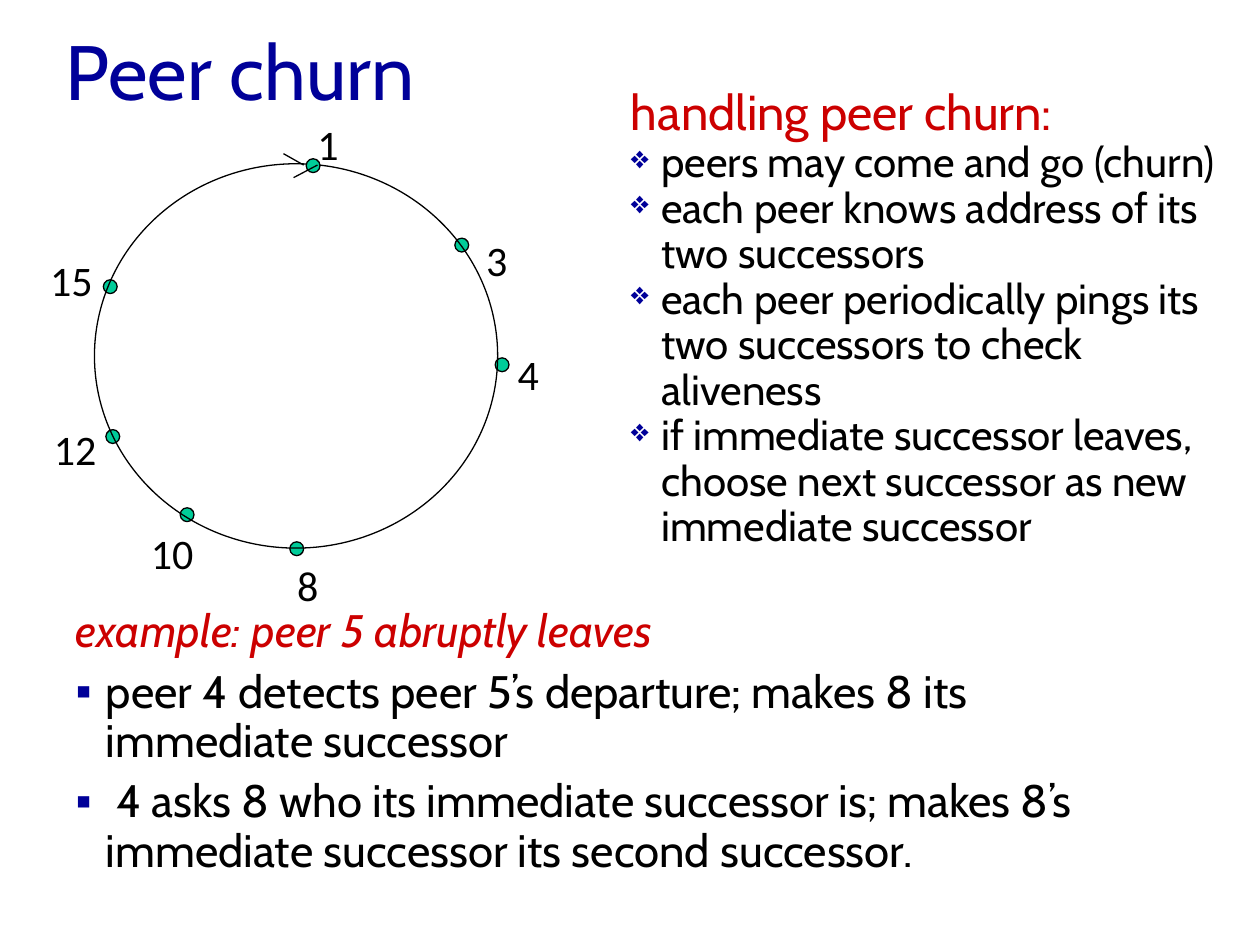
from lxml import etree
from pptx import Presentation
from pptx.dml.color import RGBColor
from pptx.enum.shapes import MSO_CONNECTOR, MSO_SHAPE
from pptx.enum.text import MSO_ANCHOR, MSO_AUTO_SIZE, PP_ALIGN
from pptx.oxml.ns import qn
from pptx.util import Inches, Pt

OVAL, STRAIGHT = MSO_SHAPE.OVAL, MSO_CONNECTOR.STRAIGHT
MIDDLE, TOP = MSO_ANCHOR.MIDDLE, MSO_ANCHOR.TOP
NO_FIT, LEFT = MSO_AUTO_SIZE.NONE, PP_ALIGN.LEFT

BLUE = RGBColor(0x00, 0x00, 0x99)
RED = RGBColor(0xCC, 0x00, 0x00)
GREEN = RGBColor(0x00, 0xCC, 0x99)
BLACK = RGBColor(0x00, 0x00, 0x00)

HEAD_FONT, LABEL_FONT = "Cabin", "Calibri"
HANG = Inches(0.24)
DOT = 0.11

# peer id, dot offset and label offset from the ring's top left corner
PEERS = [
    ("1", (1.68, -0.04), (1.67, -0.41)),
    ("3", (2.86, 0.59), (3.01, 0.51)),
    ("4", (3.18, 1.54), (3.26, 1.42)),
    ("8", (1.55, 3.0), (1.51, 3.09)),
    ("10", (0.68, 2.73), (0.35, 2.84)),
    ("12", (0.09, 2.11), (-0.42, 2.01)),
    ("15", (0.07, 0.92), (-0.45, 0.67)),
]
ARROWHEAD = [((1.5, -0.08), (1.66, 0.01)), ((1.77, 0.01), (1.58, 0.11))]

HANDLING = [
    "peers may come and go (churn)",
    "each peer knows address of its two successors",
    "each peer periodically pings its \vtwo successors to check aliveness",
    "if immediate successor leaves, choose next successor as new immediate successor",
]
EXAMPLE = [
    "peer 4 detects peer 5’s departure; makes 8 its immediate successor",
    " 4 asks 8 who its immediate successor is; makes 8’s immediate successor its second successor.",
]


def set_bullet(p, char, size):
    """Hang the paragraph behind a blue bullet, or clear the bullet if char is None."""
    pPr = p._p.get_or_add_pPr()
    pPr.set("marL", str(HANG if char else 0))
    pPr.set("indent", str(-HANG if char else 0))
    if char is None:
        etree.SubElement(pPr, qn("a:buNone"))
        return
    color = etree.SubElement(pPr, qn("a:buClr"))
    etree.SubElement(color, qn("a:srgbClr"), val=str(BLUE))
    etree.SubElement(pPr, qn("a:buSzPct"), val=str(size * 1000))
    etree.SubElement(pPr, qn("a:buChar"), char=char)


def write(tf, text, size, color=BLACK, font=HEAD_FONT, italic=False, bullet=None,
          bullet_size=100, line=None, before=0):
    """Fill the frame's empty first paragraph, or append a new one."""
    p = tf.paragraphs[0] if not tf.text else tf.add_paragraph()
    p.text = text
    set_bullet(p, bullet, bullet_size)
    p.alignment = LEFT
    p.space_before = Pt(before)
    if line:
        p.line_spacing = line
    for r in p.runs:
        r.font.size, r.font.name = Pt(size), font
        r.font.italic, r.font.color.rgb = italic, color


def place(shape, box, anchor=TOP, wrap=True):
    """Move a text shape to its box and return its frame."""
    shape.left, shape.top, shape.width, shape.height = map(Inches, box)
    tf = shape.text_frame
    tf.auto_size, tf.word_wrap, tf.vertical_anchor = NO_FIT, wrap, anchor
    return tf


def add_text_box(slide, box, wrap=True):
    return place(slide.shapes.add_textbox(0, 0, 0, 0), box, wrap=wrap)


def add_oval(slide, box, fill=None):
    s = slide.shapes.add_shape(OVAL, *map(Inches, box))
    s.shadow.inherit = False
    if fill is None:
        s.fill.background()
    else:
        s.fill.solid()
        s.fill.fore_color.rgb = fill
    s.line.color.rgb, s.line.width = BLACK, Pt(0.75)


def add_line(slide, start, end):
    line = slide.shapes.add_connector(STRAIGHT, *map(Inches, start + end))
    line.line.color.rgb, line.line.width = BLACK, Pt(0.75)
    etree.SubElement(line._element.spPr, qn("a:effectLst"))


def add_peer_ring(slide, box):
    left, top = box[:2]

    def shift(offset):
        return left + offset[0], top + offset[1]

    first, *others = [(*shift(dot), DOT, DOT) for _, dot, _ in PEERS]
    for dot in others:
        add_oval(slide, dot, GREEN)
    add_oval(slide, box)
    add_oval(slide, first, GREEN)
    for peer, _, label in PEERS:
        width = 0.2 + 0.17 * len(peer)
        tf = add_text_box(slide, (*shift(label), width, 0.5), wrap=False)
        write(tf, peer, 24, font=LABEL_FONT)
    for start, end in ARROWHEAD:
        add_line(slide, shift(start), shift(end))


def add_title(slide, box):
    tf = place(slide.shapes.title, box, anchor=MIDDLE)
    write(tf, "Peer churn", 44, BLUE)


def add_example(slide, box):
    tf = place(slide.placeholders[1], box)
    tf.margin_right = Inches(0.15)
    write(tf, "example: peer 5 abruptly leaves", 26, RED, italic=True, line=0.9)
    for text in EXAMPLE:
        write(tf, text, 26, bullet="▪", line=0.9, before=6.5)


def add_handling(slide, box):
    tf = add_text_box(slide, box)
    write(tf, "handling peer churn:", 28, RED)
    for text in HANDLING:
        write(tf, text, 24, bullet="❖", bullet_size=75, line=Pt(26))


def main():
    prs = Presentation()
    prs.slide_width, prs.slide_height = Inches(10), Inches(7.5)
    slide = prs.slides.add_slide(prs.slide_layouts[1])
    add_title(slide, (0.42, 0, 9, 1.11))
    add_example(slide, (0.5, 4.78, 9, 2.33))
    add_peer_ring(slide, (0.75, 1.3, 3.2, 3.05))
    add_handling(slide, (4.91, 0.6, 4.84, 5.3))
    prs.save("out.pptx")


if __name__ == "__main__":
    main()
